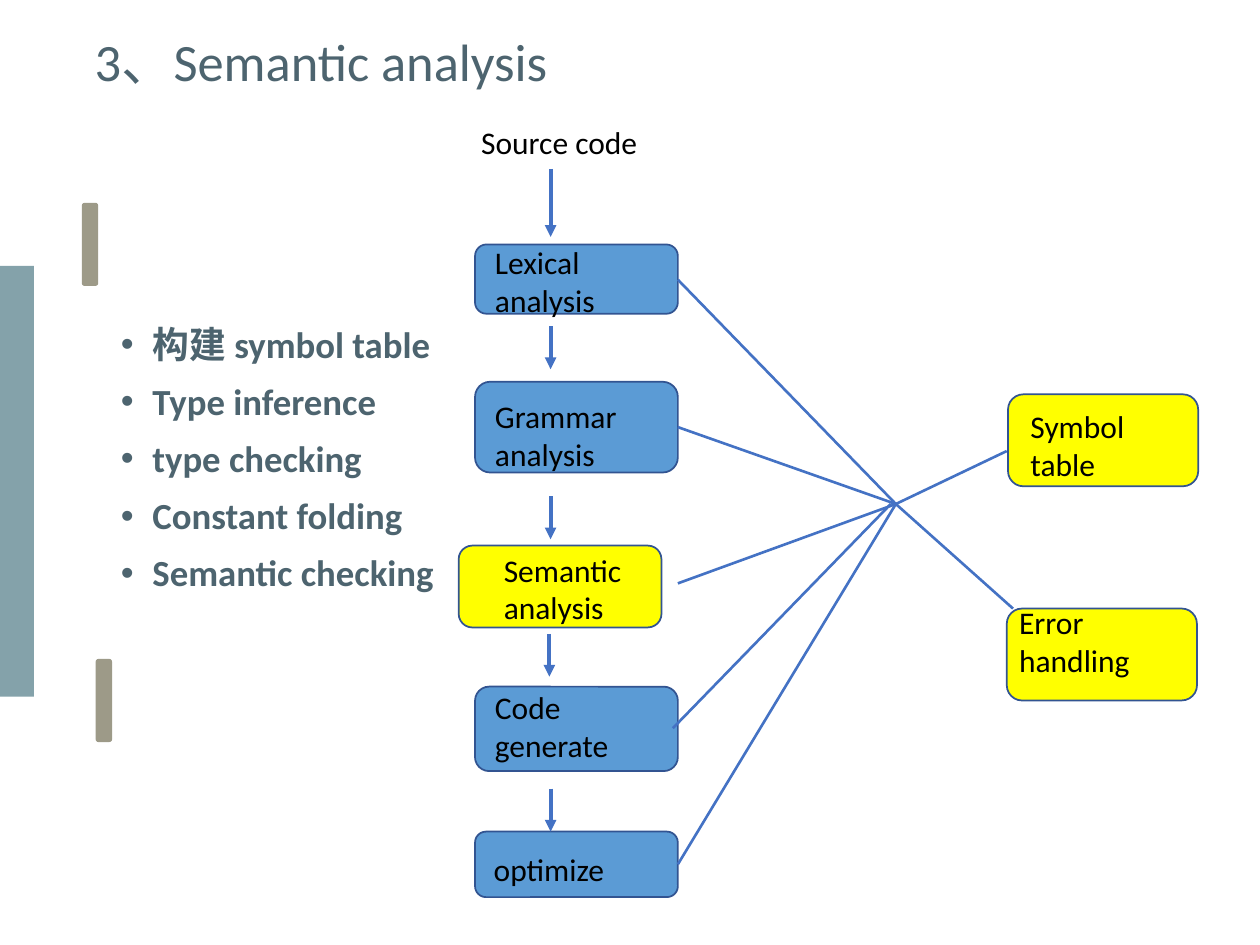
from lxml import etree
from pptx import Presentation
from pptx.dml.color import RGBColor
from pptx.enum.shapes import MSO_CONNECTOR, MSO_SHAPE
from pptx.enum.text import MSO_ANCHOR, MSO_AUTO_SIZE, PP_ALIGN
from pptx.oxml.ns import qn
from pptx.util import Inches, Pt

RECT, ROUND = MSO_SHAPE.RECTANGLE, MSO_SHAPE.ROUNDED_RECTANGLE
STRAIGHT = MSO_CONNECTOR.STRAIGHT
TOP, MIDDLE, LEFT = MSO_ANCHOR.TOP, MSO_ANCHOR.MIDDLE, PP_ALIGN.LEFT
NO_FIT = MSO_AUTO_SIZE.NONE

SLATE = RGBColor(0x4D, 0x64, 0x6F)
TEAL = RGBColor(0x84, 0xA2, 0xAA)
TAUPE = RGBColor(0x9D, 0x9A, 0x88)
BLUE = RGBColor(0x5B, 0x9B, 0xD5)
YELLOW = RGBColor(0xFF, 0xFF, 0x00)
NAVY = RGBColor(0x32, 0x54, 0x91)
LINK = RGBColor(0x44, 0x72, 0xC4)
BLACK = RGBColor(0, 0, 0)

# Content
TITLE = "3、Semantic analysis"
POINTS = ["构建 symbol table", "Type inference", "type checking",
          "Constant folding", "Semantic checking"]
BARS = [(RECT, TEAL, (0, 2.11, 0.27, 3.42)),
        (ROUND, TAUPE, (0.65, 1.61, 0.13, 0.66)),
        (ROUND, TAUPE, (0.76, 5.23, 0.13, 0.66))]

# Stages: left, top, height, fill
STAGE_W, SIDE_W, SIDE_H = 1.61, 1.51, 0.73
STAGES = [(3.77, 1.94, 0.55, BLUE), (3.77, 3.03, 0.72, BLUE),
          (3.64, 4.33, 0.65, YELLOW), (3.77, 5.45, 0.67, BLUE),
          (3.77, 6.6, 0.52, BLUE)]
SIDES = [(8, 3.13), (7.99, 4.83)]

# Labels: lines, box
LABELS = [(["Source code"], (3.72, 0.93, 1.71, 0.4)),
          (["Lexical", "analysis"], (3.83, 1.88, 1.77, 0.71)),
          (["Grammar", "analysis"], (3.83, 3.1, 1.5, 0.71)),
          (["Semantic analysis"], (3.9, 4.32, 1.29, 0.71)),
          (["Code generate"], (3.83, 5.41, 1.5, 0.71)),
          (["optimize"], (3.82, 6.7, 1.37, 0.4)),
          (["Symbol table"], (8.08, 3.18, 1.24, 0.71)),
          (["Error handling"], (7.99, 4.74, 1.24, 0.71))]

# Lines: spokes meet at the hub, arrows run straight down
HUB = (7.11, 4)
SPOKES = [(7.99, 3.58), (8.04, 4.83), (5.38, 2.22), (5.38, 3.39),
          (5.38, 4.63), (5.38, 6.86)]
SHIFTED = ((7.07, 4), (5.34, 5.78))
STEP = 0.34
ARROWS = [(4.37, 1.34, 0.54), (4.37, 2.59, STEP), (4.37, 3.94, STEP),
          (4.36, 5.03, STEP), (4.37, 6.26, STEP)]

# Text formats
HEAD = {"size": Pt(30), "bold": False, "name": "Calibri"}
ITEM = {"size": Pt(21), "bold": True, "name": "Calibri"}
LABEL = {"size": Pt(18), "bold": False, "name": "Calibri"}
FRAME = {"word_wrap": True, "auto_size": NO_FIT, "vertical_anchor": TOP}
TIGHT = {"margin_left": Inches(0.07), "margin_right": Inches(0.07),
         "margin_top": Inches(0.04), "margin_bottom": Inches(0.04)}
PLAIN = {"alignment": LEFT}
LOOSE = {"alignment": LEFT, "line_spacing": 0.9}
SPACED = {**LOOSE, "space_before": Pt(10)}


def apply(item, values):
    for key, value in values.items():
        setattr(item, key, value)


def write(frame, lines, font, color, box, para):
    apply(frame, box)
    for i, text in enumerate(lines):
        p = frame.paragraphs[0] if i == 0 else frame.add_paragraph()
        apply(p, para)
        run = p.add_run()
        run.text = text
        apply(run.font, font)
        run.font.color.rgb = color


def add_text(slide, at, *args):
    frame = slide.shapes.add_textbox(*map(Inches, at)).text_frame
    write(frame, *args)
    return frame


def add_box(slide, kind, at, fill, edge=None):
    shape = slide.shapes.add_shape(kind, *map(Inches, at))
    shape.shadow.inherit = False
    shape.fill.solid()
    shape.fill.fore_color.rgb = fill
    if edge is None:
        shape.line.fill.background()
    else:
        shape.line.color.rgb = edge
        shape.line.width = Pt(1)


def add_line(slide, start, end, width, arrow=False):
    line = slide.shapes.add_connector(STRAIGHT, *map(Inches, start + end))
    line.line.color.rgb = LINK
    line.line.width = Pt(width)
    if arrow:
        etree.SubElement(line.line._get_or_add_ln(), qn("a:tailEnd"), type="triangle")
    etree.SubElement(line._element.spPr, qn("a:effectLst"))


def add_bullet(p):
    props = p._p.get_or_add_pPr()
    props.set("marL", str(Inches(0.25)))
    props.set("indent", str(-Inches(0.25)))
    etree.SubElement(props, qn("a:buFont"), typeface="Arial")
    etree.SubElement(props, qn("a:buChar"), char="•")


def main():
    deck = Presentation()
    deck.slide_width, deck.slide_height = Inches(10), Inches(7.5)
    slide = deck.slides.add_slide(deck.slide_layouts[5])

    # Side bars
    for kind, fill, at in BARS:
        add_box(slide, kind, at, fill)

    # Title and bullet list
    title = slide.shapes.title
    spot = map(Inches, (0.68, -0.03, 8.62, 1.09))
    apply(title, dict(zip(("left", "top", "width", "height"), spot)))
    write(title.text_frame, [TITLE], HEAD, SLATE,
          {**FRAME, **TIGHT, "vertical_anchor": MIDDLE}, LOOSE)
    points = add_text(slide, (0.89, 2.55, 3.77, 2.63), POINTS, ITEM, SLATE,
                      {**FRAME, **TIGHT}, SPACED)
    for p in points.paragraphs:
        add_bullet(p)

    # Stage and side boxes
    for left, top, height, fill in STAGES:
        add_box(slide, ROUND, (left, top, STAGE_W, height), fill, NAVY)
    for left, top in SIDES:
        add_box(slide, ROUND, (left, top, SIDE_W, SIDE_H), YELLOW, NAVY)

    # Spokes and arrows
    for start, end in [(HUB, end) for end in SPOKES] + [SHIFTED]:
        add_line(slide, start, end, 1.5)
    for x, y, drop in ARROWS:
        add_line(slide, (x, y), (x, y + drop), 2.25, arrow=True)

    # Labels
    for lines, at in LABELS:
        add_text(slide, at, lines, LABEL, BLACK, FRAME, PLAIN)

    deck.save("out.pptx")


if __name__ == "__main__":
    main()
